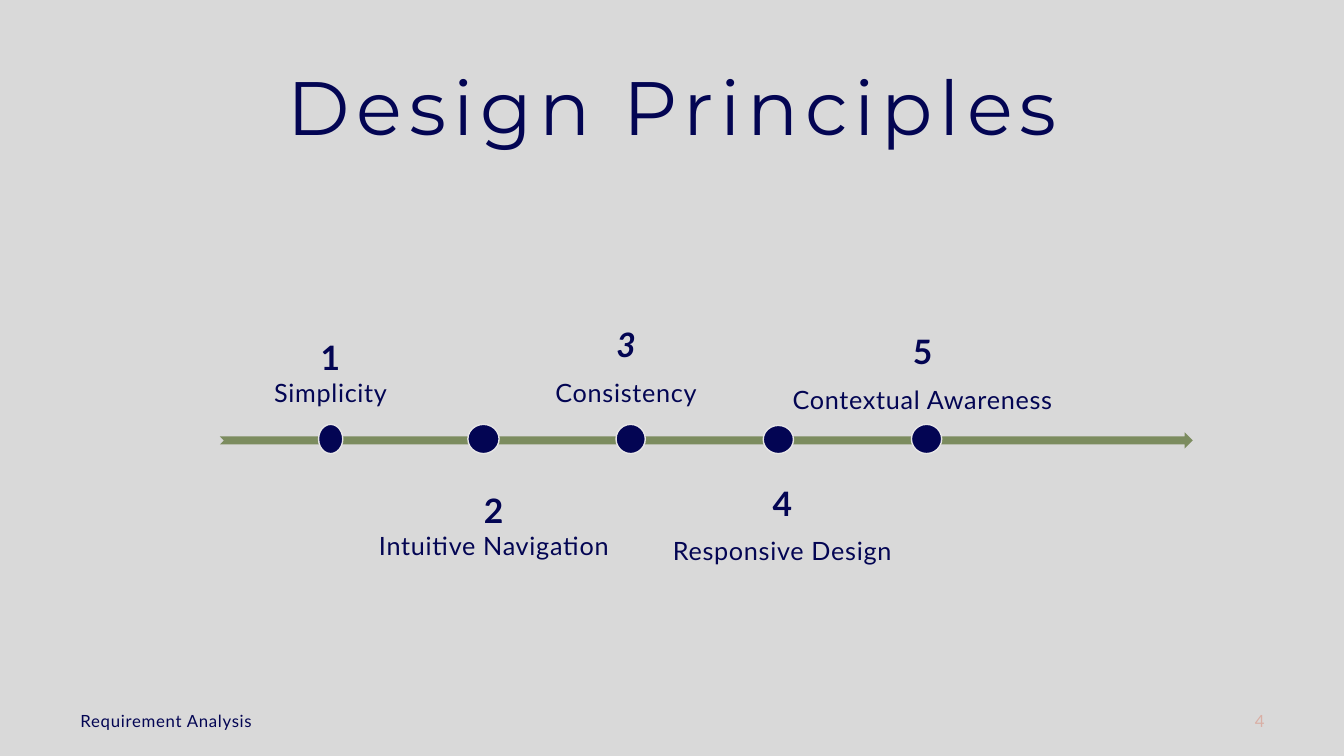
from pptx import Presentation
from pptx.dml.color import RGBColor
from pptx.enum.shapes import MSO_SHAPE as Preset
from pptx.enum.text import MSO_ANCHOR as Anchor, PP_ALIGN as Align
from pptx.util import Inches, Pt

NAVY = RGBColor(0x03, 0x05, 0x53)
OLIVE = RGBColor(0x7C, 0x8C, 0x5F)
BACKGROUND = RGBColor(0xD9, 0xD9, 0xD9)
OUTLINE = RGBColor(0xE7, 0xE6, 0xE6)
ROSE = RGBColor(0xD9, 0xAF, 0xA5)

NUMBER = {"name": "Lato", "size": Pt(24), "bold": True}
LABEL = {"name": "Lato", "size": Pt(18), "bold": False}
FOOTER = {"name": "Lato", "size": Pt(12)}
TITLE = {"name": "Montserrat", "size": Pt(54)}

# number, label, label box, anchor, label starts its own paragraph, dot box
PRINCIPLES = [
    ("1", "Simplicity", (2.51, 2.46, 1.54, 1.72), Anchor.BOTTOM, False,
     (3.16, 4.21, 0.24, 0.29)),
    ("2", "Intuitive Navigation", (3.47, 4.72, 2.86, 1.72), Anchor.TOP, False,
     (4.64, 4.21, 0.31, 0.29)),
    ("3", "Consistency", (5.3, 2.46, 1.82, 1.72), Anchor.BOTTOM, True,
     (6.11, 4.21, 0.29, 0.29)),
    ("4", "Responsive Design", (6.33, 4.65, 2.86, 1.72), Anchor.TOP, True,
     (7.57, 4.22, 0.3, 0.28)),
    ("5", "Contextual Awareness", (7.55, 2.53, 3.2, 1.72), Anchor.BOTTOM, True,
     (9.04, 4.21, 0.3, 0.29)),
]


def add_text_frame(slide, box, anchor=Anchor.TOP, inset=None):
    frame = slide.shapes.add_textbox(*map(Inches, box)).text_frame
    frame.word_wrap = True
    frame.vertical_anchor = anchor
    if inset is not None:
        for side in ("left", "top", "right", "bottom"):
            setattr(frame, f"margin_{side}", Inches(inset))
    return frame


def add_run(paragraph, text, style, color=NAVY, tracking=50):
    """Add a run; tracking is letter spacing in hundredths of a point."""
    run = paragraph.add_run()
    run.text = text
    for name, value in style.items():
        setattr(run.font, name, value)
    run.font.color.rgb = color
    run.font._element.set("spc", str(tracking))


def add_filled_shape(slide, preset, box, color):
    shape = slide.shapes.add_shape(preset, *map(Inches, box))
    shape.shadow.inherit = False
    shape.fill.solid()
    shape.fill.fore_color.rgb = color
    shape.line.fill.background()
    return shape


def add_dot(slide, box):
    dot = add_filled_shape(slide, Preset.OVAL, box, NAVY)
    dot.line.color.rgb = OUTLINE
    dot.line.width = Pt(1)


def add_principle_text(slide, number, label, box, anchor, separate):
    frame = add_text_frame(slide, box, anchor, 0.14)
    paragraph = frame.paragraphs[0]
    paragraph.alignment = Align.CENTER
    add_run(paragraph, number, {**NUMBER, "italic": number == "3"})
    if separate:
        paragraph.space_after = Pt(9)
        paragraph = frame.add_paragraph()
        paragraph.alignment = Align.CENTER
    else:
        paragraph.add_line_break()
    add_run(paragraph, label, LABEL)


def add_title(slide, text):
    paragraph = add_text_frame(slide, (0.7, 0.7, 11.94, 1.7), inset=0).paragraphs[0]
    paragraph.alignment = Align.CENTER
    paragraph.line_spacing = 0.9
    add_run(paragraph, text, TITLE, tracking=500)


def add_footer(slide, text, left, alignment, color):
    frame = add_text_frame(slide, (left, 6.95, 4.5, 0.4), Anchor.MIDDLE)
    frame.paragraphs[0].alignment = alignment
    add_run(frame.paragraphs[0], text, FOOTER, color)


def main():
    presentation = Presentation()
    presentation.slide_width = Inches(13.33)
    presentation.slide_height = Inches(7.5)
    slide = presentation.slides.add_slide(presentation.slide_layouts[6])
    slide.background.fill.solid()
    slide.background.fill.fore_color.rgb = BACKGROUND

    add_title(slide, "Design Principles")
    add_footer(slide, "Requirement Analysis", 0.7, Align.LEFT, NAVY)
    add_footer(slide, "4", 8.14, Align.RIGHT, ROSE)
    add_filled_shape(slide, Preset.NOTCHED_RIGHT_ARROW, (2.18, 4.29, 9.65, 0.16), OLIVE)
    for *text_settings, dot_box in PRINCIPLES:
        add_principle_text(slide, *text_settings)
        add_dot(slide, dot_box)

    presentation.save("out.pptx")


if __name__ == "__main__":
    main()
